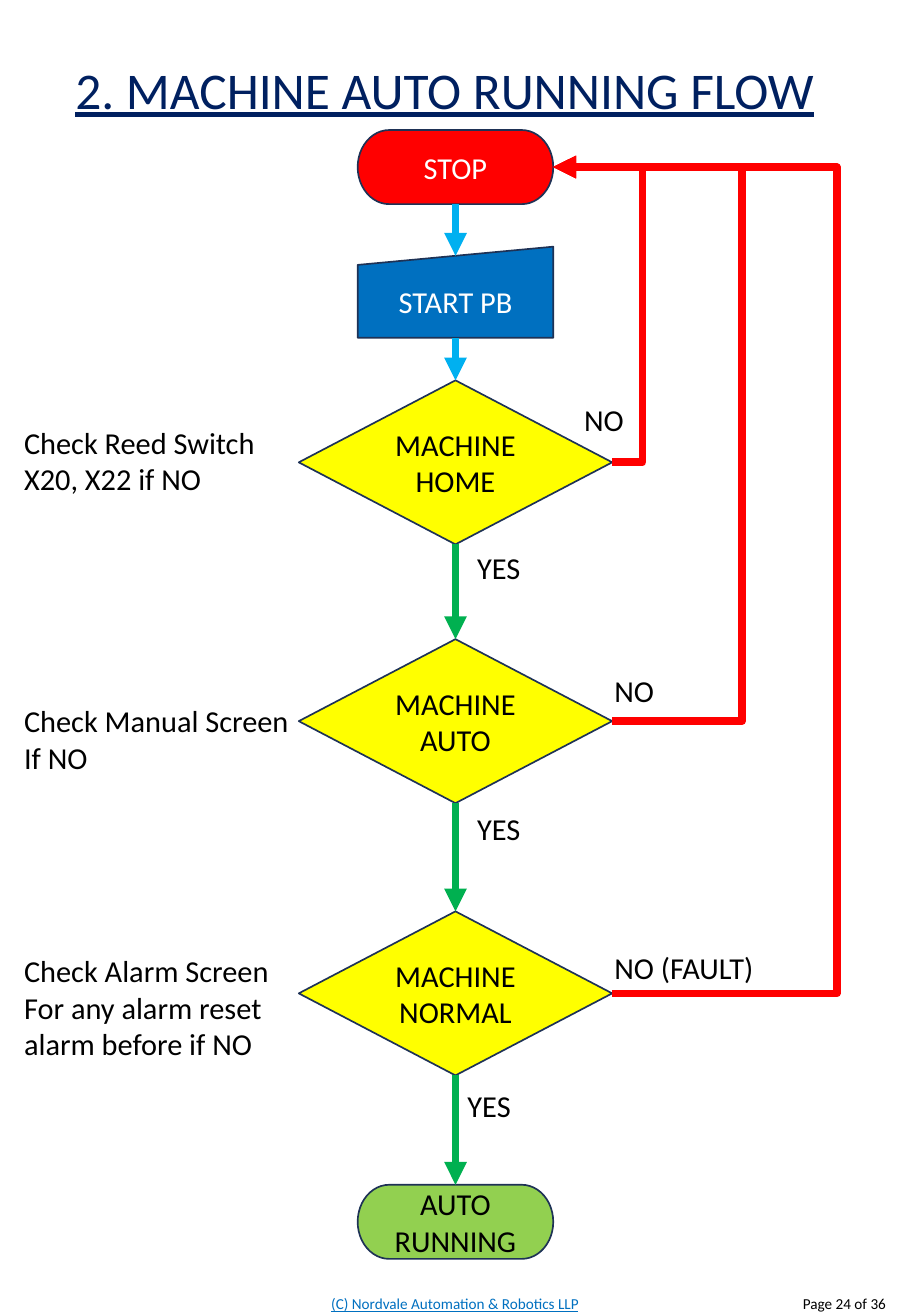
from lxml import etree
from pptx import Presentation
from pptx.dml.color import RGBColor
from pptx.enum import shapes, text
from pptx.oxml.ns import qn
from pptx.util import Inches, Pt

NAVY = RGBColor(0x00, 0x20, 0x60)
OUTLINE = RGBColor(0x1E, 0x32, 0x56)
RED = RGBColor(0xFF, 0x00, 0x00)
BLUE = RGBColor(0x00, 0x70, 0xC0)
SKY = RGBColor(0x00, 0xB0, 0xF0)
YELLOW = RGBColor(0xFF, 0xFF, 0x00)
GREEN = RGBColor(0x00, 0xB0, 0x50)
LIME = RGBColor(0x92, 0xD0, 0x50)
WHITE = RGBColor(0xFF, 0xFF, 0xFF)
BLACK = RGBColor(0x00, 0x00, 0x00)

FONT = "Calibri"
TERMINATOR = shapes.MSO_SHAPE.FLOWCHART_TERMINATOR
MANUAL_INPUT = shapes.MSO_SHAPE.FLOWCHART_MANUAL_INPUT
DECISION = shapes.MSO_SHAPE.FLOWCHART_DECISION
BOTTOM, TOP, RIGHT = 2, 0, 3  # connection sites

# kind, label, top, width, height, fill, text colour
STEPS = [
    (TERMINATOR, "STOP", 0, 1.61, 0.61, RED, WHITE),
    (MANUAL_INPUT, "START PB", 0.96, 1.61, 0.75, BLUE, WHITE),
    (DECISION, "MACHINE HOME", 2.06, 2.58, 1.35, YELLOW, BLACK),
    (DECISION, "MACHINE AUTO", 4.19, 2.58, 1.35, YELLOW, BLACK),
    (DECISION, "MACHINE NORMAL", 6.43, 2.58, 1.35, YELLOW, BLACK),
    (TERMINATOR, "AUTO RUNNING", 8.68, 1.61, 0.61, LIME, BLACK),
]
ARROW_COLORS = [SKY, SKY, GREEN, GREEN, GREEN]
RETURN_LANES = [5.29, 6.11, 6.89]

BRANCH_LABELS = [
    ("YES", 3.83, 4.47, 0.88), ("YES", 3.83, 6.62, 0.88), ("YES", 3.75, 8.9, 0.88),
    ("NO", 4.71, 3.25, 0.88), ("NO", 4.96, 5.48, 0.88), ("NO (FAULT)", 4.96, 7.76, 1.69),
]
CHECKS = [
    (["Check Reed Switch", "X20, X22 if NO"], 3.44),
    (["Check Manual Screen", "If NO"], 5.73),
    (["Check Alarm Screen", "For any alarm reset alarm before if NO"], 7.79),
]


def style_text(frame, lines, size, color, align=text.PP_ALIGN.LEFT, underline=None):
    frame.word_wrap = True
    frame.text = "\n".join(lines)
    for paragraph in frame.paragraphs:
        paragraph.alignment = align
        paragraph.font.name = FONT
        paragraph.font.size = Pt(size)
        paragraph.font.color.rgb = color
        paragraph.font.underline = underline


def add_label(slide, lines, left, top, width, height):
    label = slide.shapes.add_textbox(*map(Inches, (left, top, width, height)))
    style_text(label.text_frame, lines, 18, BLACK)


def add_title(slide, left, top, width, height):
    title = slide.shapes.title
    title.left, title.top, title.width, title.height = map(Inches, (left, top, width, height))
    style_text(title.text_frame, ["2. MACHINE AUTO RUNNING FLOW"], 30.5, NAVY, underline=True)
    title.text_frame.auto_size = text.MSO_AUTO_SIZE.NONE
    title.text_frame.vertical_anchor = text.MSO_ANCHOR.MIDDLE
    title.text_frame.paragraphs[0].line_spacing = 0.9


def add_step(slide, center, top, kind, label, width, height, fill, color):
    step = slide.shapes.add_shape(
        kind, *map(Inches, (center - width / 2, top, width, height)))
    step.shadow.inherit = False
    step.fill.solid()
    step.fill.fore_color.rgb = fill
    step.line.color.rgb = OUTLINE
    step.line.width = Pt(1)
    style_text(step.text_frame, [label], 18, color, text.PP_ALIGN.CENTER)
    step.text_frame.vertical_anchor = text.MSO_ANCHOR.MIDDLE
    return step


def add_arrow(slide, kind, source, source_site, target, target_site, color):
    arrow = slide.shapes.add_connector(kind, 0, 0, 0, 0)
    arrow.begin_connect(source, source_site)
    arrow.end_connect(target, target_site)
    arrow.line.color.rgb = color
    arrow.line.width = Pt(4.5)
    etree.SubElement(arrow.line._get_or_add_ln(), qn("a:tailEnd"), type="triangle")
    etree.SubElement(arrow._element.spPr, qn("a:effectLst"))
    return arrow


def add_return(slide, decision, stop, lane):
    """Lead a NO branch out to the lane and back to the stop step."""
    branch = add_arrow(slide, shapes.MSO_CONNECTOR.ELBOW, decision, RIGHT, stop, RIGHT, RED)
    bend = (Inches(lane) - branch.begin_x) / (branch.end_x - branch.begin_x)
    guides = branch._element.spPr.find(qn("a:prstGeom")).get_or_add_avLst()
    etree.SubElement(guides, qn("a:gd"), name="adj1", fmla=f"val {round(bend * 100000)}")


def add_flow(slide, center, top):
    steps = [add_step(slide, center, top + offset, kind, label, width, height, fill, color)
             for kind, label, offset, width, height, fill, color in STEPS]
    for source, target, color in zip(steps, steps[1:], ARROW_COLORS):
        arrow = add_arrow(slide, shapes.MSO_CONNECTOR.STRAIGHT,
                          source, BOTTOM, target, TOP, color)
        if target is steps[1]:  # its slanted edge is lower at the middle
            arrow.end_y = target.top + target.height // 10
    for decision, lane in zip(steps[2:5], RETURN_LANES):
        add_return(slide, decision, steps[0], lane)
    for label, left, label_top, width in BRANCH_LABELS:
        add_label(slide, [label], left, label_top, width, 0.4)


def add_checks(slide, left, width):
    for lines, top in CHECKS:
        add_label(slide, lines, left, top, width, 0.71)


def add_footer(slide, top, height):
    for line, left, width, color, align, underline in (
        ("(C) Nordvale Automation & Robotics LLP", 2.48, 2.53, BLUE,
         text.PP_ALIGN.CENTER, True),
        ("Page 24 of 36 ", 6.42, 1, BLACK, text.PP_ALIGN.RIGHT, None),
    ):
        note = slide.shapes.add_textbox(*map(Inches, (left, top, width, height)))
        style_text(note.text_frame, [line], 9, color, align, underline)
        note.text_frame.vertical_anchor = text.MSO_ANCHOR.MIDDLE


def main():
    deck = Presentation()
    deck.slide_width, deck.slide_height = Inches(7.5), Inches(10.83)
    slide = deck.slides.add_slide(deck.slide_layouts[5])
    add_title(slide, 0.52, 0.46, 6.47, 0.61)
    add_flow(slide, center=3.75, top=1.07)
    add_checks(slide, left=0.1, width=2.43)
    add_footer(slide, top=10.62, height=0.22)
    deck.save("out.pptx")


if __name__ == "__main__":
    main()
